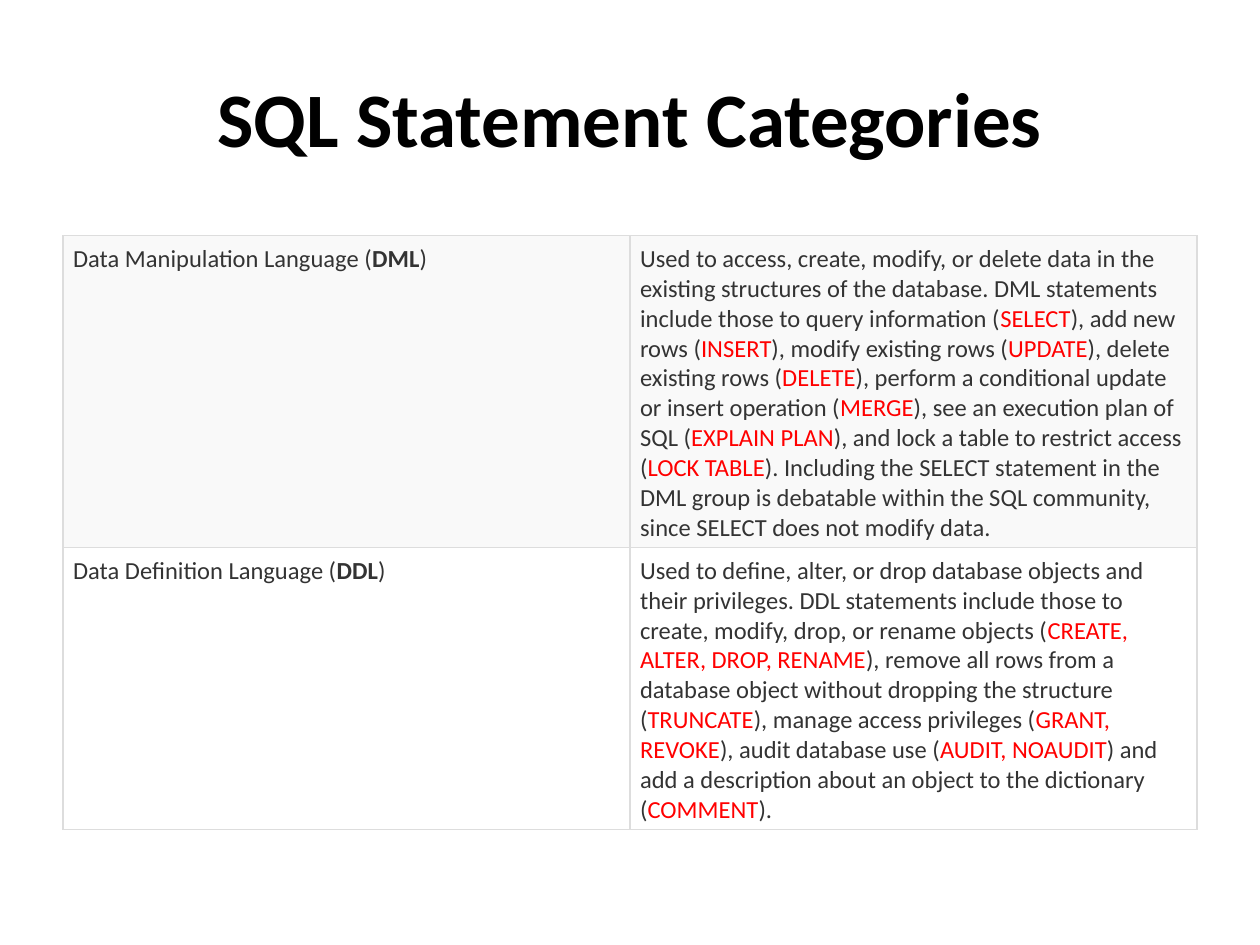
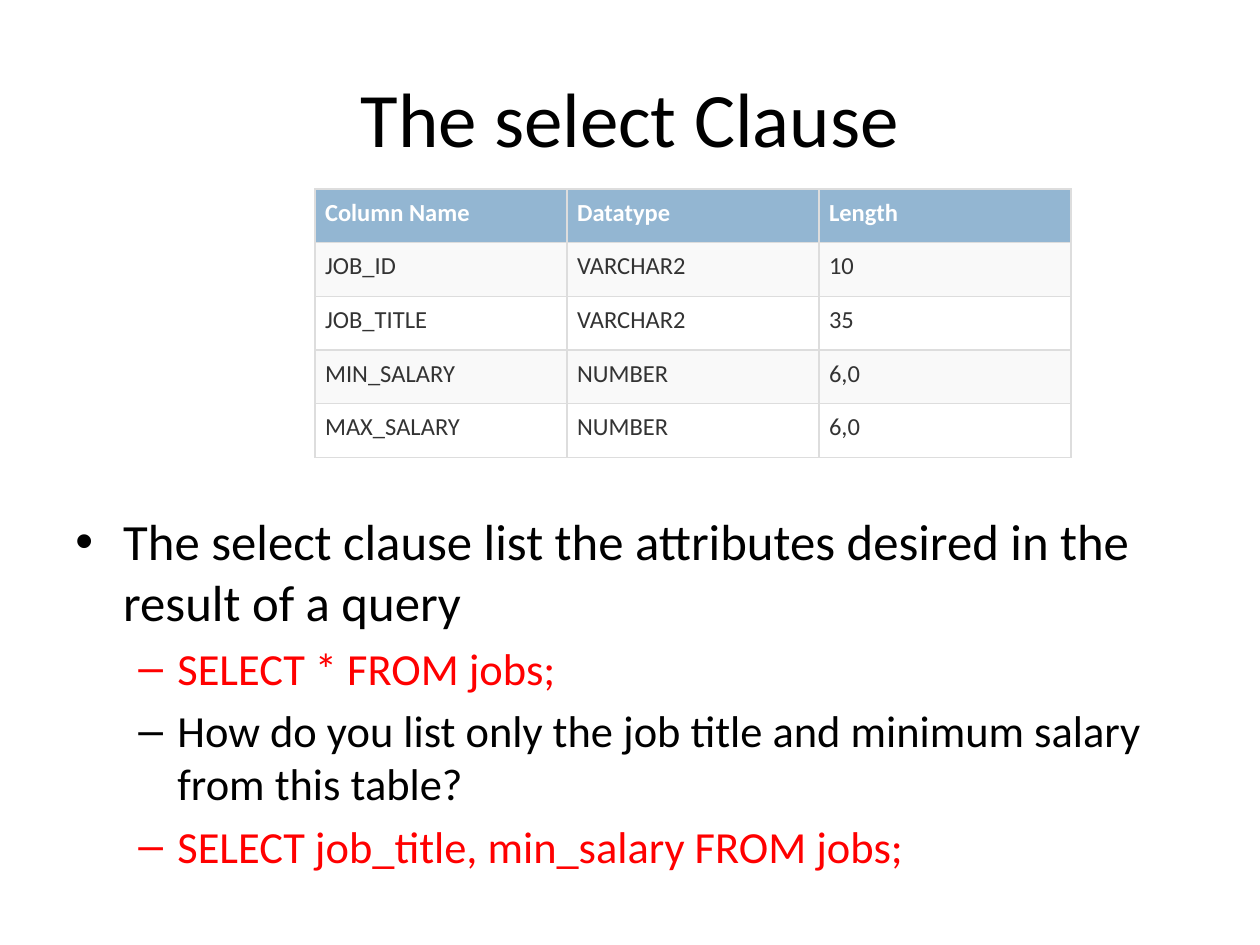
from dataclasses import dataclass

from lxml import etree
from pptx import Presentation
from pptx.dml.color import RGBColor
from pptx.enum.text import MSO_ANCHOR, PP_ALIGN
from pptx.oxml.ns import qn
from pptx.slide import Slide
from pptx.text.text import TextFrame
from pptx.util import Inches, Pt

MIDDLE = MSO_ANCHOR.MIDDLE
CENTER = PP_ALIGN.CENTER

FONT = "Calibri"
COLORS = {
    "black": "000000",
    "white": "FFFFFF",
    "text": "333333",
    "code": "FF0000",
    "head": "93B6D2",
    "band": "F9F9F9",
    "rule": "DDDDDD",
}
LEFT, WIDTH = 0.5, 9
MARK = "|"  # encloses words that stand out

GROUPS = [
    (
        "Data Manipulation Language (|DML|)",
        "Used to access, create, modify, or delete data in the existing "
        "structures of the database. DML statements include those to query "
        "information (|SELECT|), add new rows (|INSERT|), modify existing rows "
        "(|UPDATE|), delete existing rows (|DELETE|), perform a conditional "
        "update or insert operation (|MERGE|), see an execution plan of SQL "
        "(|EXPLAIN PLAN|), and lock a table to restrict access (|LOCK TABLE|). "
        "Including the SELECT statement in the DML group is debatable within "
        "the SQL community, since SELECT does not modify data.",
    ),
    (
        "Data Definition Language (|DDL|)",
        "Used to define, alter, or drop database objects and their privileges. "
        "DDL statements include those to create, modify, drop, or rename "
        "objects (|CREATE, ALTER, DROP, RENAME|), remove all rows from a "
        "database object without dropping the structure (|TRUNCATE|), manage "
        "access privileges (|GRANT, REVOKE|), audit database use "
        "(|AUDIT, NOAUDIT|) and add a description about an object to the "
        "dictionary (|COMMENT|).",
    ),
]
JOBS = [
    ("Column Name", "Datatype", "Length"),
    ("JOB_ID", "VARCHAR2", "10"),
    ("JOB_TITLE", "VARCHAR2", "35"),
    ("MIN_SALARY", "NUMBER", "6,0"),
    ("MAX_SALARY", "NUMBER", "6,0"),
]


@dataclass(frozen=True)
class Level:
    sign: str
    size: float
    margin: float
    hang: float


@dataclass(frozen=True)
class Point:
    text: str
    level: Level
    color: str = "black"


@dataclass(frozen=True)
class Grid:
    left: float
    top: float
    width: float
    heights: list[float]
    rows: list[tuple[str, ...]]
    head: bool = False


MAIN = Level("•", 29, 0.38, 0.38)
SUB = Level("–", 25.4, 0.81, 0.31)
POINTS = [
    Point("The select clause list the attributes desired in the result of a query", MAIN),
    Point("SELECT * FROM jobs;", SUB, "code"),
    Point("How do you list only the job title and minimum salary from this table?", SUB),
    Point("SELECT job_title, min_salary FROM jobs;", SUB, "code"),
]


def rgb(name: str) -> RGBColor:
    return RGBColor.from_string(COLORS[name])


def style(run, size: float, color: str, bold: bool = False) -> None:
    run.font.name = FONT
    run.font.size = Pt(size)
    run.font.bold = bold
    run.font.color.rgb = rgb(color)


def add_box(slide: Slide, top: float, height: float) -> TextFrame:
    box = slide.shapes.add_textbox(
        Inches(LEFT), Inches(top), Inches(WIDTH), Inches(height)
    )
    box.text_frame.word_wrap = True
    return box.text_frame


def add_title(slide: Slide, text: str, bold: bool = False) -> None:
    frame = add_box(slide, 0.3, 1.25)
    frame.vertical_anchor = MIDDLE
    frame.text = text
    para = frame.paragraphs[0]
    para.alignment = CENTER
    style(para.runs[0], 44, "black", bold)


def add_points(slide: Slide, points: list[Point]) -> None:
    frame = add_box(slide, 4, 2.7)
    frame.text = "\n".join(point.text for point in points)
    for para, point in zip(frame.paragraphs, points):
        level = point.level
        para.space_before = Pt(round(level.size * 0.2, 1))
        style(para.runs[0], level.size, point.color)
        props = para._p.get_or_add_pPr()
        props.set("marL", str(Inches(level.margin)))
        props.set("indent", str(-Inches(level.hang)))
        etree.SubElement(props, qn("a:buFont"), typeface="Arial")
        etree.SubElement(props, qn("a:buChar"), char=level.sign)


def add_rules(cell) -> None:
    """Draw a thin line on each side of the cell."""
    props = cell._tc.get_or_add_tcPr()
    for side in ("lnL", "lnR", "lnT", "lnB"):
        line = etree.SubElement(props, qn(f"a:{side}"), w=str(Pt(0.75)))
        fill = etree.SubElement(line, qn("a:solidFill"))
        etree.SubElement(fill, qn("a:srgbClr"), val=COLORS["rule"])


def fill_cell(cell, text: str, fill: str, head: bool, accent: bool) -> None:
    """Set the cell; marked words turn red with accent, else bold."""
    cell.margin_left = cell.margin_right = Inches(0.08)
    cell.margin_top = cell.margin_bottom = Inches(0.07)
    add_rules(cell)
    cell.fill.solid()
    cell.fill.fore_color.rgb = rgb(fill)
    para = cell.text_frame.paragraphs[0]
    for i, part in enumerate(text.split(MARK)):
        run = para.add_run()
        run.text = part
        marked = i % 2 == 1
        color = "white" if head else "code" if marked and accent else "text"
        style(run, 14, color, head or (marked and not accent))


def add_grid(slide: Slide, grid: Grid) -> None:
    count = len(grid.rows[0])
    table = slide.shapes.add_table(
        len(grid.rows), count, Inches(grid.left), Inches(grid.top),
        Inches(grid.width), Inches(sum(grid.heights)),
    ).table
    table.first_row = grid.head
    table.horz_banding = False
    for col in table.columns:
        col.width = Inches(grid.width / count)
    for r, (height, texts) in enumerate(zip(grid.heights, grid.rows)):
        table.rows[r].height = Inches(height)
        head = grid.head and r == 0
        banded = (r - grid.head) % 2 == 0
        fill = "head" if head else "band" if banded else "white"
        for c, text in enumerate(texts):
            fill_cell(table.cell(r, c), text, fill, head, c > 0)


def main() -> None:
    deck = Presentation()
    deck.slide_width, deck.slide_height = Inches(10), Inches(7.5)
    blank = deck.slide_layouts[6]

    slide = deck.slides.add_slide(blank)
    add_title(slide, "SQL Statement Categories", bold=True)
    add_grid(slide, Grid(LEFT, 1.87, WIDTH, [2.43, 1.97], GROUPS))

    slide = deck.slides.add_slide(blank)
    add_title(slide, "The select Clause")
    add_points(slide, POINTS)
    heights = [2.13 / len(JOBS)] * len(JOBS)
    add_grid(slide, Grid(2.5, 1.5, 6, heights, JOBS, head=True))

    deck.save("out.pptx")


if __name__ == "__main__":
    main()
